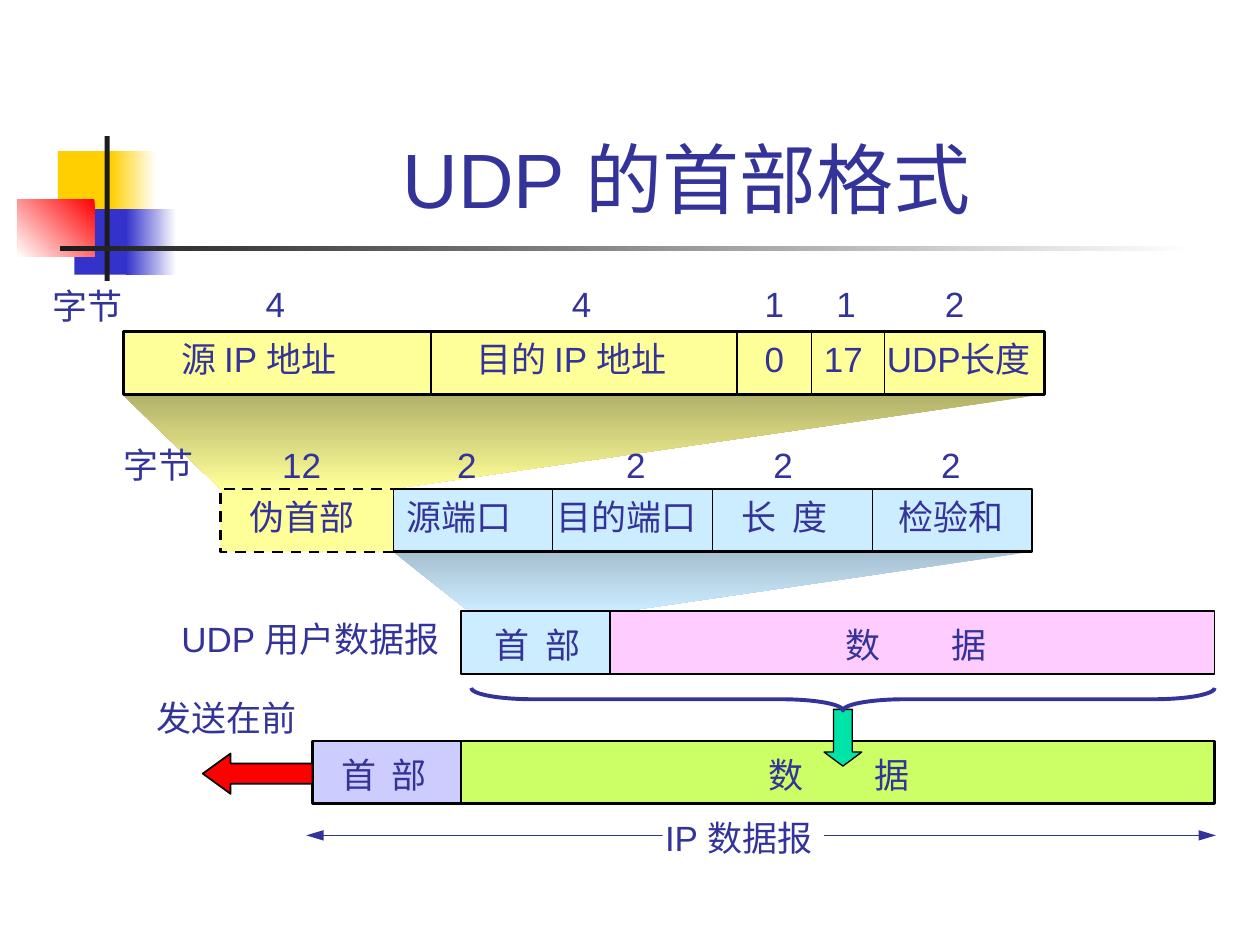
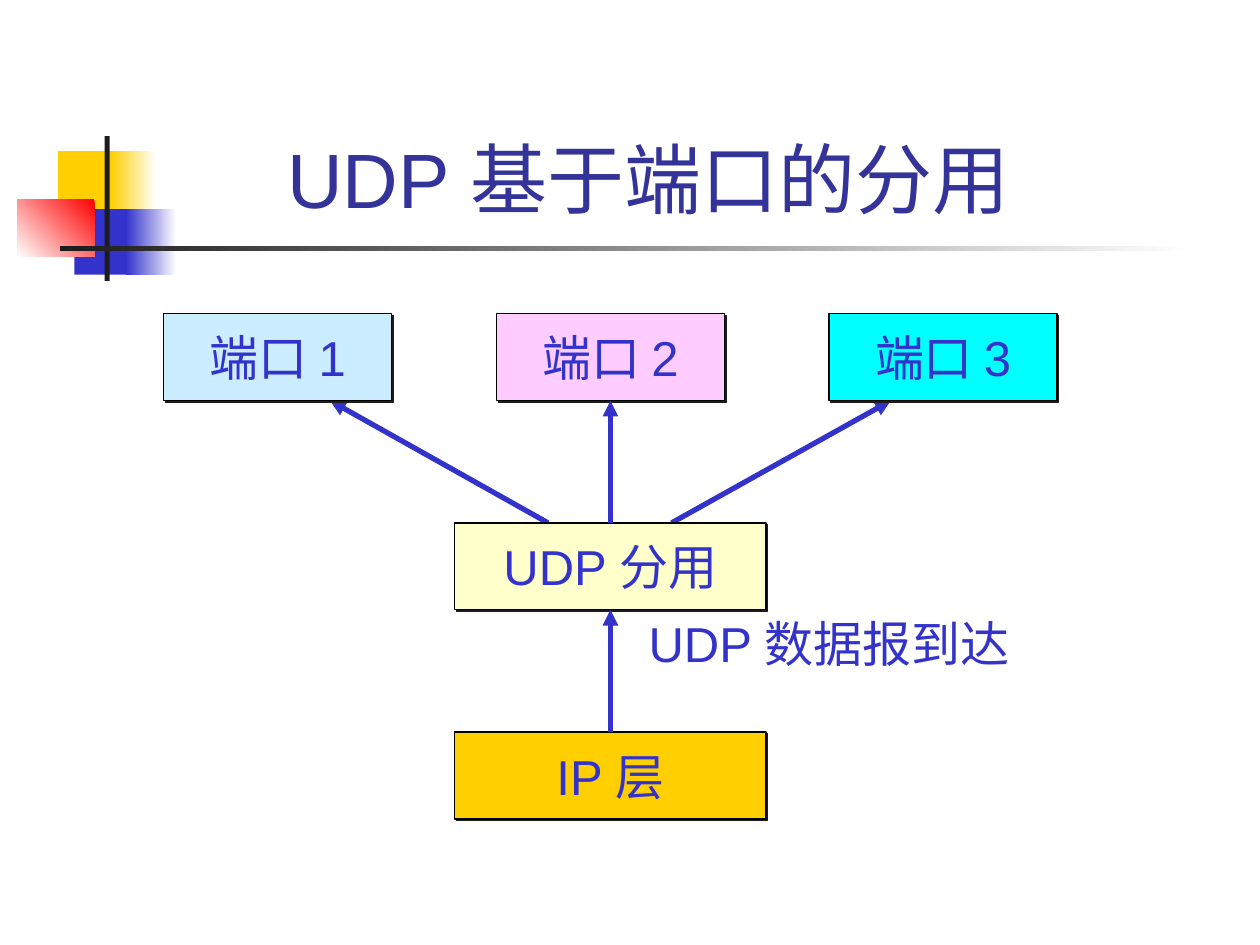
"""Builds two slides on the UDP header format and UDP port demultiplexing."""
from lxml import etree
from pptx import Presentation
from pptx.dml.color import RGBColor
from pptx.enum.dml import MSO_LINE
from pptx.enum.shapes import MSO_CONNECTOR, MSO_SHAPE
from pptx.enum.text import MSO_ANCHOR, MSO_AUTO_SIZE, PP_ALIGN
from pptx.oxml.ns import qn
from pptx.util import Inches, Pt

RECT = MSO_SHAPE.RECTANGLE
LEFT_ARROW = MSO_SHAPE.LEFT_ARROW
DOWN_ARROW = MSO_SHAPE.DOWN_ARROW
BRACE = MSO_SHAPE.RIGHT_BRACE
STRAIGHT = MSO_CONNECTOR.STRAIGHT
DASH = MSO_LINE.DASH
CENTER = PP_ALIGN.CENTER
MIDDLE = MSO_ANCHOR.MIDDLE
BOTTOM = MSO_ANCHOR.BOTTOM
NO_FIT = MSO_AUTO_SIZE.NONE

WHITE = RGBColor(0xFF, 0xFF, 0xFF)
BLACK = RGBColor(0x00, 0x00, 0x00)
INK = RGBColor(0x1C, 0x1C, 0x1C)
NAVY = RGBColor(0x33, 0x33, 0x99)
BLUE = RGBColor(0x33, 0x33, 0xCC)
GOLD = RGBColor(0xFF, 0xCF, 0x01)
RED = RGBColor(0xFF, 0x00, 0x00)
YELLOW = RGBColor(0xFF, 0xFF, 0x99)
OLIVE = RGBColor(0xB1, 0xB1, 0x6A)
CREAM = RGBColor(0xFF, 0xFF, 0xCC)
SKY = RGBColor(0xCC, 0xEC, 0xFF)
STEEL = RGBColor(0xA6, 0xC0, 0xD0)
PINK = RGBColor(0xFF, 0xCC, 0xFF)
LILAC = RGBColor(0xCC, 0xCC, 0xFF)
LIME = RGBColor(0xCC, 0xFF, 0x66)
GREEN = RGBColor(0x00, 0xE4, 0xA8)
CYAN = RGBColor(0x00, 0xFF, 0xFF)

TITLE_FONT = {"name": "Arial", "size": Pt(44), "bold": False}
LABEL_FONT = {"name": "Arial", "size": Pt(20)}
NODE_FONT = {"name": "Arial", "size": Pt(28)}

ROW_H = 0.5
LABEL_H = 0.44
NODE_H = 0.69


def write(tf, text, font, color, align=None):
    """Put one formatted paragraph into a text frame."""
    p = tf.paragraphs[0]
    p.alignment = align
    r = p.add_run()
    r.text = text
    for name, value in font.items():
        setattr(r.font, name, value)
    r.font.color.rgb = color
    return p


def paint(sp, fill=None, line=None, width=1):
    """Set the fill, outline and shadow; a fill is a colour or (start, end, angle)."""
    sp.shadow.inherit = False
    if fill is None:
        sp.fill.background()
    elif isinstance(fill, RGBColor):
        sp.fill.solid()
        sp.fill.fore_color.rgb = fill
    else:
        sp.fill.gradient()
        sp.fill.gradient_angle = fill[2]
        for stop, color in zip(sp.fill.gradient_stops, fill):
            stop.color.rgb = color
    if line is None:
        sp.line.fill.background()
    else:
        sp.line.color.rgb = line
        sp.line.width = Pt(width)
    return sp


def add_box(slide, at, fill=None, line=None, width=1, kind=RECT):
    """Add a painted preset shape at (left, top, width, height)."""
    sp = slide.shapes.add_shape(kind, *map(Inches, at))
    return paint(sp, fill, line, width)


def add_outline(slide, points, fill, line=None, width=1, close=True):
    """Add a painted polygon through the given points."""
    start, *rest = [(Inches(x), Inches(y)) for x, y in points]
    builder = slide.shapes.build_freeform(*start)
    builder.add_line_segments(rest, close=close)
    return paint(builder.convert_to_shape(), fill, line, width)


def add_label(slide, left, top, width, text, font=LABEL_FONT, color=NAVY,
              height=LABEL_H, tab=None):
    """Add a one-line label, with an optional tab stop in inches."""
    sp = slide.shapes.add_textbox(*map(Inches, (left, top, width, height)))
    tf = sp.text_frame
    tf.word_wrap = True
    tf.margin_right = 0
    p = write(tf, text, font, color)
    if tab:
        tabs = etree.SubElement(p._p.get_or_add_pPr(), qn("a:tabLst"))
        etree.SubElement(tabs, qn("a:tab"), pos=str(Inches(tab)), algn="l")


def add_labels(slide, top, items):
    """Add a row of labels given as (left, width, text)."""
    for left, width, text in items:
        add_label(slide, left, top, width, text)


def add_line(slide, start, end, color=BLACK, width=0.75, ends=(), length="med"):
    """Add a straight line with triangles at the named ends."""
    cx = slide.shapes.add_connector(STRAIGHT, *map(Inches, (*start, *end)))
    cx.line.color.rgb = color
    cx.line.width = Pt(width)
    ln = cx.line._get_or_add_ln()
    for name in ends:
        etree.SubElement(ln, qn(f"a:{name}"), type="triangle", len=length)
    etree.SubElement(cx._element.spPr, qn("a:effectLst"))
    return cx


def add_dividers(slide, xs, top):
    """Add the vertical lines between the fields of a row."""
    for x in xs:
        add_line(slide, (x, top), (x, top + ROW_H))


def add_node(slide, at, text, fill):
    """Add a captioned box with a hard shadow."""
    sp = add_box(slide, at, fill, BLACK, 0.75)
    effects = sp._element.spPr.find(qn("a:effectLst"))
    shadow = etree.SubElement(effects, qn("a:outerShdw"), dist=str(Pt(1.4)),
                              dir="2700000", algn="ctr", rotWithShape="0")
    etree.SubElement(shadow, qn("a:srgbClr"), val=str(INK))
    tf = sp.text_frame
    tf.word_wrap = False
    tf.vertical_anchor = MIDDLE
    write(tf, text, NODE_FONT, BLUE, CENTER)
    return sp


def add_titled_slide(prs, title, width):
    """Add a title-only slide with the shared corner decoration."""
    slide = prs.slides.add_slide(prs.slide_layouts[5])
    for at, fill in (
        ((0.46, 1.2, 0.48, 0.52), GOLD),
        ((0.88, 1.2, 0.36, 0.52), (WHITE, GOLD, 180)),
        ((0.59, 1.66, 0.46, 0.52), BLUE),
        ((1, 1.66, 0.4, 0.52), (WHITE, BLUE, 180)),
        ((0.14, 1.58, 0.61, 0.46), (RED, WHITE, 225)),
        ((0.83, 1.08, 0.04, 1.15), INK),
        ((0.48, 1.95, 9, 0.04), (WHITE, INK, 180)),
    ):
        add_box(slide, at, fill)
    sp = slide.shapes.title
    place = {"left": 1.26, "top": 0.23, "width": width, "height": 1.6}
    for name, value in place.items():
        setattr(sp, name, Inches(value))
    tf = sp.text_frame
    tf.auto_size = NO_FIT
    tf.vertical_anchor = BOTTOM
    write(tf, title, TITLE_FONT, NAVY, CENTER)
    return slide


def build_header_slide(prs):
    """Show how the pseudo header, UDP header and IP datagram nest."""
    slide = add_titled_slide(prs, "UDP 的首部格式 ", 8.52)
    pseudo_y, udp_y, user_y, ip_y = 2.63, 3.88, 4.85, 5.88
    udp_x, udp_w = 3.12, 5.07

    add_outline(slide, [(udp_x, udp_y + ROW_H), (8.18, udp_y + ROW_H),
                        (4.97, user_y), (3.72, user_y)], (STEEL, SKY, 270))
    add_outline(slide, [(0.97, pseudo_y + ROW_H), (8.28, pseudo_y + ROW_H),
                        (udp_x, udp_y), (1.75, udp_y)], (OLIVE, YELLOW, 270))

    add_box(slide, (0.98, pseudo_y, 7.31, ROW_H), YELLOW, BLACK, 1.5)
    add_dividers(slide, (3.42, 5.85, 6.44, 7.02), pseudo_y)
    add_labels(slide, pseudo_y, [(1.34, 1.57, "源 IP 地址"), (3.68, 1.85, "目的 IP 地址"),
                                 (5.97, 0.35, "0"), (6.44, 0.51, "17"),
                                 (6.94, 1.41, "UDP长度")])
    add_labels(slide, 2.19, [(2.01, 0.35, "4"), (4.44, 0.35, "4"), (5.97, 0.35, "1"),
                             (6.54, 0.35, "1"), (7.4, 0.35, "2")])
    add_label(slide, 0.32, 2.21, 0.75, "字节")

    add_box(slide, (udp_x, udp_y, udp_w, ROW_H), SKY, BLACK, 1.5)
    add_dividers(slide, [udp_x + udp_w * i / 4 for i in (1, 2, 3)], udp_y)
    sp = add_outline(slide, [(udp_x, udp_y + ROW_H), (1.75, udp_y + ROW_H),
                             (1.75, udp_y), (udp_x, udp_y)], YELLOW, BLACK, 1.5, False)
    sp.line.dash_style = DASH
    add_labels(slide, udp_y, [(1.88, 1.03, "伪首部"), (3.13, 1.03, "源端口"),
                              (4.32, 1.31, "目的端口"), (7.03, 1.03, "检验和")])
    add_label(slide, 5.79, udp_y, 0.88, "长\t度", tab=0.4)
    add_labels(slide, 3.47, [(0.88, 0.75, "字节"), (2.14, 0.51, "12"), (3.53, 0.35, "2"),
                             (4.87, 0.35, "2"), (6.04, 0.35, "2"), (7.37, 0.35, "2")])

    add_box(slide, (3.66, user_y, 1.18, ROW_H), SKY, BLACK)
    add_box(slide, (4.84, user_y, 4.8, ROW_H), PINK, BLACK)
    add_box(slide, (2.48, ip_y, 1.18, ROW_H), LILAC, BLACK, 1.5)
    add_box(slide, (3.66, ip_y, 5.98, ROW_H), LIME, BLACK, 1.5)
    for header_x, data_x, top in ((3.83, 6.61, user_y), (2.61, 6, ip_y)):
        add_label(slide, header_x, top + 0.05, 0.88, "首\t部", tab=0.4)
        add_label(slide, data_x, top + 0.05, 1.32, "数\t据", tab=0.84)
    add_label(slide, 1.34, user_y, 2.32, "UDP 用户数据报")
    add_label(slide, 1.14, 5.48, 1.31, "发送在前")

    sp = add_box(slide, (1.61, 5.98, 0.87, 0.32), RED, BLACK, 1, LEFT_ARROW)
    sp.adjustments[1] = 0.69
    sp = add_box(slide, (6.54, 5.63, 0.3, 0.45), GREEN, BLACK, 0.75, DOWN_ARROW)
    sp.adjustments[1] = 0.37
    sp = add_box(slide, (6.6, 2.6, 0.18, 5.9), None, NAVY, 2.25, BRACE)
    sp.adjustments[0] = 2.72
    sp.rotation = 90

    add_line(slide, (2.43, 6.63), (9.65, 6.63), NAVY, 0.75, ("headEnd", "tailEnd"), "lg")
    add_box(slide, (5.26, 6.46, 1.28, 0.32), WHITE)
    add_label(slide, 5.18, 6.43, 1.44, "IP 数据报")


def build_ports_slide(prs):
    """Show UDP handing arriving datagrams to three ports."""
    slide = add_titled_slide(prs, "UDP 基于端口的分用 ", 7.91)
    port_y, udp_y, ip_y = 2.49, 4.15, 5.81
    middle = 4.84
    for start, end in ((4.35, 2.62), (5.33, 7.07)):
        add_line(slide, (start, udp_y), (end, port_y + NODE_H), BLUE, 3, ("tailEnd",))
    ports = [add_node(slide, (1.3 + 2.64 * i, port_y, 1.81, NODE_H), f"端口 {i + 1}", fill)
             for i, fill in enumerate((SKY, PINK, CYAN))]
    udp = add_node(slide, (3.61, udp_y, 2.47, NODE_H), "UDP 分用", CREAM)
    ip = add_node(slide, (3.61, ip_y, 2.47, NODE_H), "IP 层", GOLD)
    for lower, upper, top in ((udp, ports[1], port_y), (ip, udp, udp_y)):
        cx = add_line(slide, (middle, top + 1.66), (middle, top + NODE_H),
                      BLUE, 3, ("tailEnd",))
        cx.begin_connect(lower, 0)
        cx.end_connect(upper, 2)
    add_label(slide, 5.05, 4.82, 3.16, "UDP 数据报到达", NODE_FONT, BLUE, 0.57)


def main():
    """Build and save the presentation."""
    prs = Presentation()
    prs.slide_width, prs.slide_height = Inches(10), Inches(7.5)
    build_header_slide(prs)
    build_ports_slide(prs)
    prs.save("out.pptx")


if __name__ == "__main__":
    main()
